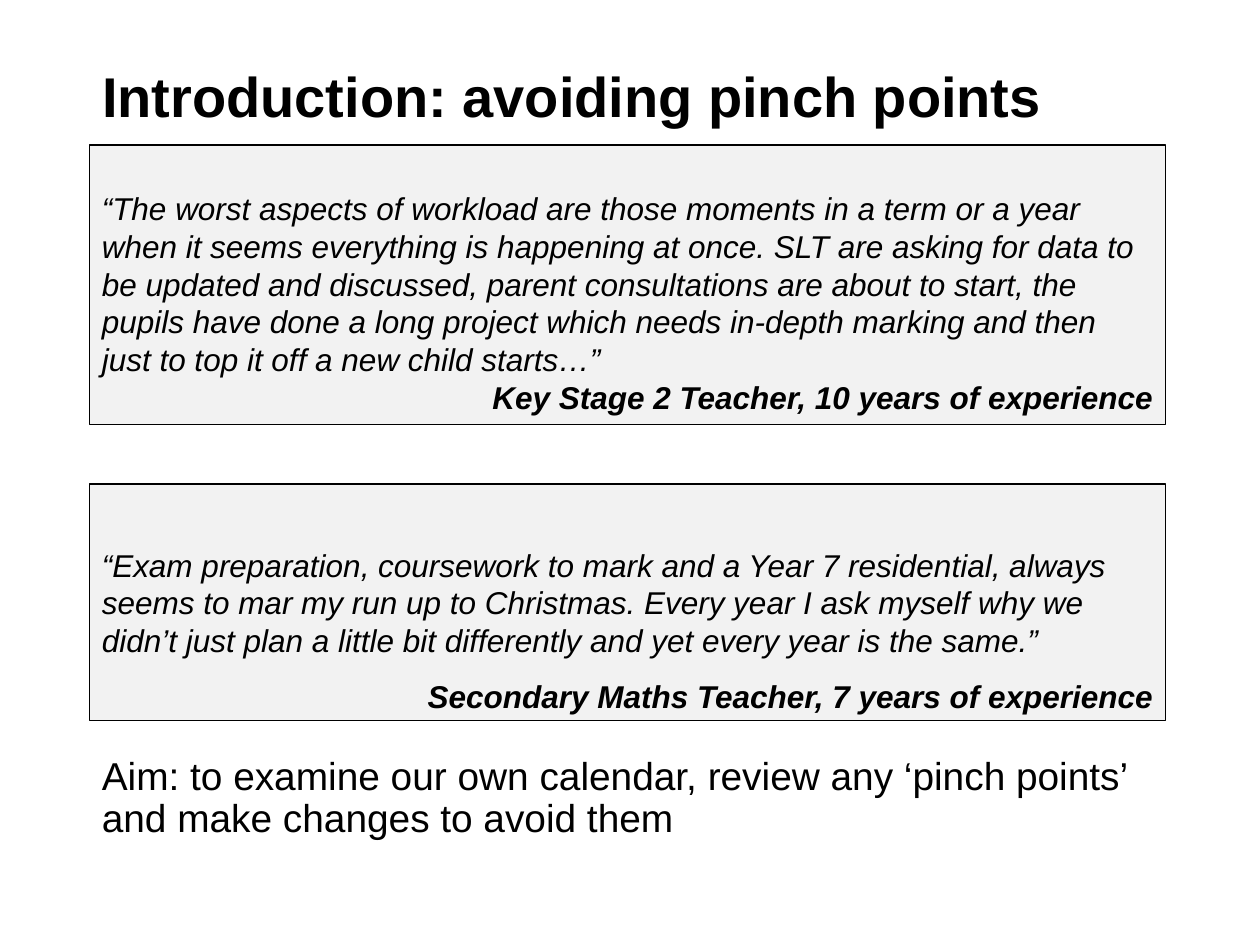
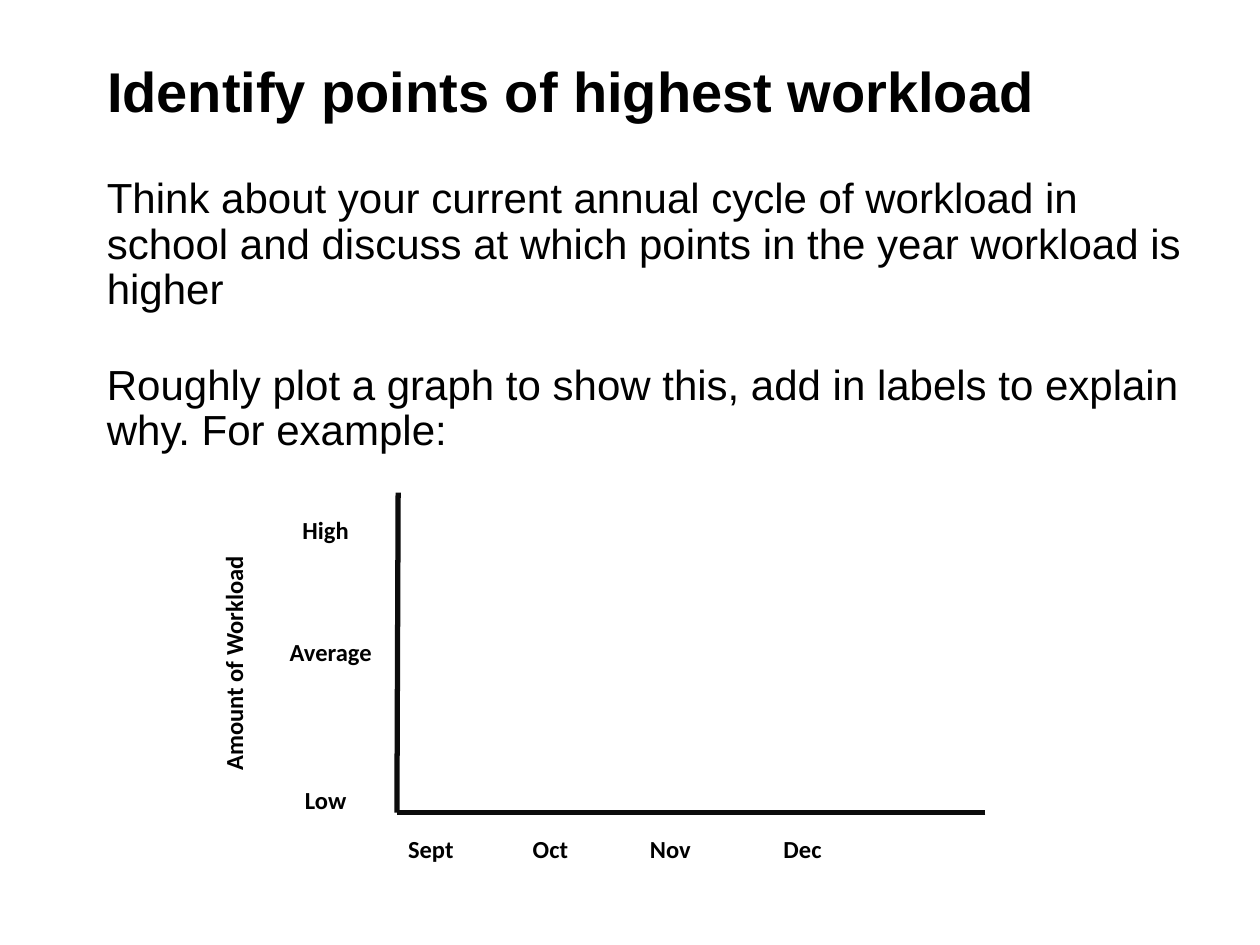
from collections import namedtuple

from lxml import etree
from pptx import Presentation
from pptx import util as u
from pptx.dml.color import RGBColor
from pptx.enum import shapes, text
from pptx.oxml.ns import qn

Box = namedtuple("Box", "left top width height")

BLACK, PANEL, AXIS = "000000", "F2F2F2", "0C0C0C"
TITLE = {"name": "Arial", "size": u.Pt(32), "bold": True}
QUOTE = {"name": "Arial", "size": u.Pt(18), "italic": True}
SPEAKER = {**QUOTE, "bold": True}
AIM = {"name": "Arial", "size": u.Pt(22.2)}
TASK = {"name": "Arial", "size": u.Pt(24)}
LABEL = {"name": "Calibri", "size": u.Pt(14), "bold": True}
TOP, MIDDLE, BOTTOM = (text.MSO_ANCHOR.TOP, text.MSO_ANCHOR.MIDDLE,
                       text.MSO_ANCHOR.BOTTOM)
LEFT, CENTER, RIGHT = text.PP_ALIGN.LEFT, text.PP_ALIGN.CENTER, text.PP_ALIGN.RIGHT


def rgb(value):
    return RGBColor.from_string(value)


def apply(target, values):
    for key, value in values.items():
        setattr(target, key, value)


def inches(box):
    return [u.Inches(length) for length in box]


def write(shape, paragraphs, anchor=TOP, **frame_format):
    frame = shape.text_frame
    apply(frame, {"word_wrap": True, "auto_size": text.MSO_AUTO_SIZE.NONE,
                  "vertical_anchor": anchor, **frame_format})
    for index, (words, font, layout) in enumerate(paragraphs):
        paragraph = frame.add_paragraph() if index else frame.paragraphs[0]
        apply(paragraph, {"alignment": LEFT, **layout})
        run = paragraph.add_run()
        run.text = words
        apply(run.font, font)
        run.font.color.rgb = rgb(BLACK)


def add_text(parent, box, paragraphs, anchor=TOP):
    holder = parent.add_textbox(*inches(box))
    write(holder, paragraphs, anchor)
    return holder


def add_titled_slide(deck, words, box):
    slide = deck.slides.add_slide(deck.slide_layouts[5])
    title = slide.shapes.title
    apply(title, dict(zip(Box._fields, inches(box))))
    write(title, [(words, TITLE, {})], MIDDLE)
    return slide


def add_quote(slide, box, quote, speaker, inset, gap):
    panel = slide.shapes.add_shape(shapes.MSO_SHAPE.RECTANGLE, *inches(box))
    panel.shadow.inherit = False
    panel.fill.solid()
    panel.fill.fore_color.rgb = rgb(PANEL)
    panel.line.color.rgb = rgb(BLACK)
    panel.line.width = u.Pt(0.75)
    write(panel, [(quote, QUOTE, {}),
                  (speaker, SPEAKER, {"alignment": RIGHT, "space_before": u.Pt(gap)})],
          margin_top=u.Inches(inset))


def add_axis(parent, start, end):
    axis = parent.add_connector(shapes.MSO_CONNECTOR.STRAIGHT,
                                *inches(start + end))
    axis.line.color.rgb = rgb(AXIS)
    axis.line.width = u.Pt(3)
    etree.SubElement(axis.element.spPr, qn("a:effectLst"))


def add_workload_graph(slide, box):
    graph = slide.shapes.add_group_shape().shapes
    right, base = box.left + box.width, box.top + box.height
    add_axis(graph, (box.left + 0.01, box.top), (box.left, base))
    add_axis(graph, (right, base), (box.left, base))

    centered = {"alignment": CENTER}
    axis_title = add_text(graph, Box(box.left - 2.34, box.top + 1.12, 2.22, 0.47),
                          [("Amount of Workload", LABEL, centered)])
    axis_title.rotation = 270
    for level, x, y in [("High", -1.13, 0.13), ("Average", -1.09, 1.1),
                        ("Low", -1.13, 2.27)]:
        add_text(graph, Box(box.left + x, box.top + y, 1.13, 0.39),
                 [(level, LABEL, centered)])
    for month, x in [("Sept", -0.01), ("Oct", 0.98), ("Nov", 1.91), ("Dec", 2.97)]:
        add_text(graph, Box(box.left + x, base + 0.11, 0.76, 0.34),
                 [(month, LABEL, {})], BOTTOM)


def build_introduction(deck):
    left, width = 0.71, 8.54
    slide = add_titled_slide(deck, "Introduction: avoiding pinch points",
                             Box(left, 0.36, width, 0.79))
    add_quote(slide, Box(left, 1.15, width, 2.22),
              "“The worst aspects of workload are those moments in a term or a year "
              "when it seems everything is happening at once. SLT are asking for data "
              "to be updated and discussed, parent consultations are about to start, "
              "the pupils have done a long project which needs in-depth marking and "
              "then just to top it off a new child starts…”",
              "Key Stage 2 Teacher, 10 years of experience", inset=0.35, gap=0)
    add_quote(slide, Box(left, 3.84, width, 1.88),
              "“Exam preparation, coursework to mark and a Year 7 residential, always "
              "seems to mar my run up to Christmas. Every year I ask myself why we "
              "didn’t just plan a little bit differently and yet every year is the "
              "same.”",
              "Secondary Maths Teacher, 7 years of experience", inset=0.49, gap=10)
    add_text(slide.shapes, Box(left, 5.96, width, 0.81),
             [("Aim: to examine our own calendar, review any ‘pinch points’ and make "
               "changes to avoid them", AIM, {"line_spacing": 0.9})])


def build_workload(deck):
    left = 0.75
    slide = add_titled_slide(deck, "Identify points of highest workload",
                             Box(left, 0.36, 8.5, 0.71))
    add_text(slide.shapes, Box(left, 1.36, 8.74, 2.55),
             [("Think about your current annual cycle of workload in school and "
               "discuss at which points in the year workload is higher", TASK,
               {"line_spacing": 0.9}),
              ("Roughly plot a graph to show this, add in labels to explain why. "
               "For example:", TASK,
               {"line_spacing": 0.9, "space_before": u.Pt(29)})])
    add_workload_graph(slide, Box(3.15, 3.91, 4.67, 2.54))


def main():
    deck = Presentation()
    apply(deck, {"slide_width": u.Inches(10), "slide_height": u.Inches(7.5)})
    build_introduction(deck)
    build_workload(deck)
    deck.save("out.pptx")


if __name__ == "__main__":
    main()
